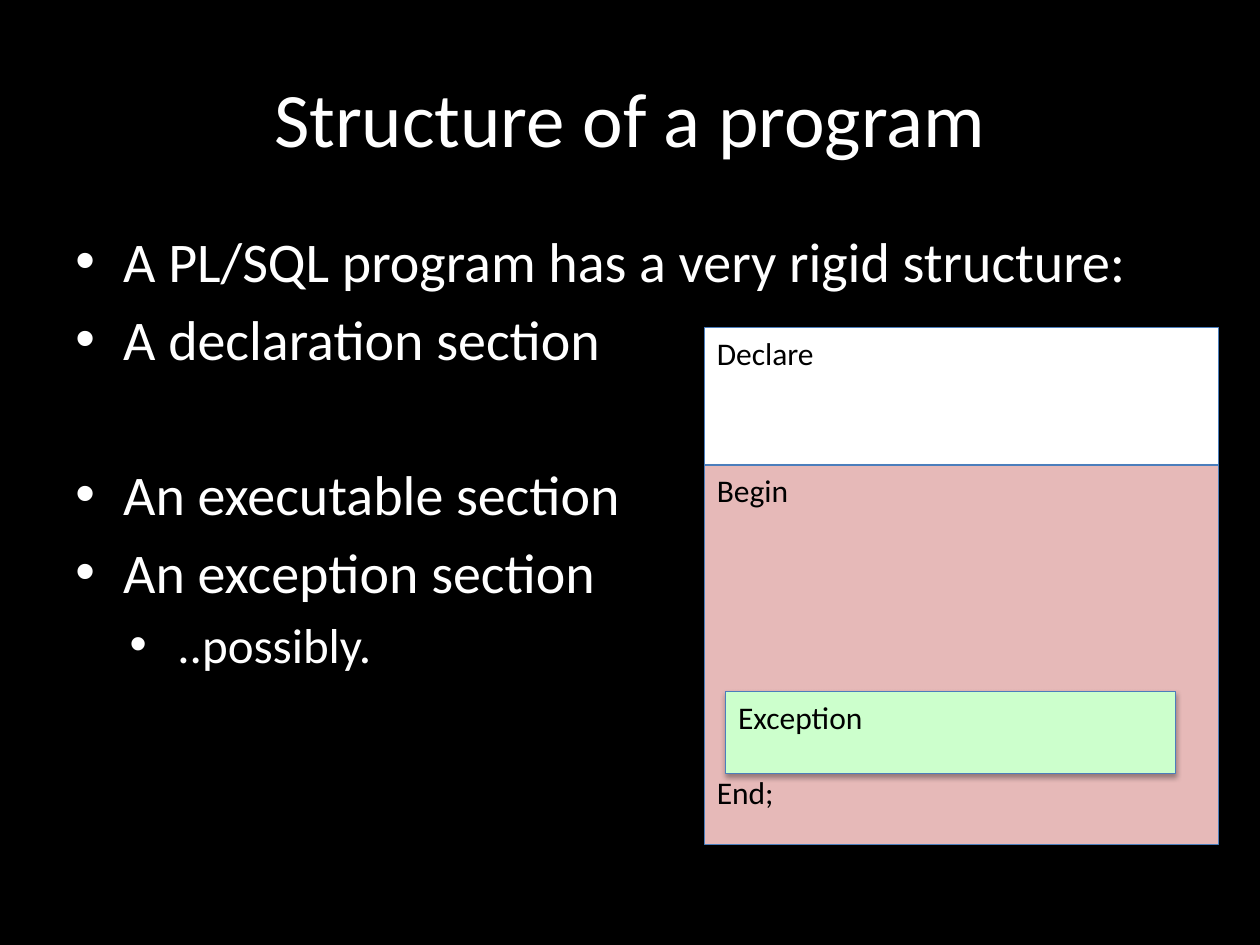
from dataclasses import dataclass
from lxml import etree
from pptx import Presentation
from pptx import util as u
from pptx.dml.color import RGBColor
from pptx.enum import shapes, text
from pptx.oxml.ns import qn

HUES = {"back": "000000", "light": "FFFFFF", "dark": "000000", "edge": "4B7EBC",
        "declare": "FFFFFF", "begin": "E6B9B8", "except": "CCFFCC"}


@dataclass
class Line:
    words: str
    size: float
    gap: float = 0
    level: int = 0


@dataclass
class Block:
    left: float
    top: float
    wide: float
    high: float
    fill: str
    lines: list[Line]


def hue(name: str) -> RGBColor:
    return RGBColor.from_string(HUES[name])


def add_sub(root, tag: str, **attrs):
    return etree.SubElement(root, qn(tag), attrs)


def write(frame, lines: list[Line], tone: str, align=text.PP_ALIGN.LEFT) -> None:
    frame.word_wrap = True
    for i, line in enumerate(lines):
        para = frame.add_paragraph() if i else frame.paragraphs[0]
        para.text = line.words
        para.alignment = align
        para.level = line.level
        para.space_before = u.Pt(line.gap)
        para.font.name = "Calibri"
        para.font.size = u.Pt(line.size)
        para.font.color.rgb = hue(tone)


def add_dot(para) -> None:
    props = para._p.get_or_add_pPr()
    props.set("marL", str(u.Inches(0.38 + 0.43 * para.level)))
    props.set("indent", str(u.Inches(-0.38)))
    font = etree.Element(qn("a:buFont"), typeface="Arial")
    dot = etree.Element(qn("a:buChar"), char="•")
    rest = props.find(qn("a:defRPr"))
    rest.addprevious(font)
    rest.addprevious(dot)


def add_shade(shape) -> None:
    shape.shadow.inherit = False
    glow = add_sub(shape._element.spPr.find(qn("a:effectLst")), "a:outerShdw",
                   blurRad=str(u.Pt(3.1)), dist=str(u.Pt(1.8)),
                   dir="5400000", rotWithShape="0")
    tint = add_sub(glow, "a:srgbClr", val=HUES["dark"])
    add_sub(tint, "a:alpha", val="35000")


def add_block(slide, block: Block) -> None:
    box = slide.shapes.add_shape(
        shapes.MSO_SHAPE.RECTANGLE, u.Inches(block.left), u.Inches(block.top),
        u.Inches(block.wide), u.Inches(block.high))
    box.fill.solid()
    box.fill.fore_color.rgb = hue(block.fill)
    box.line.color.rgb = hue("edge")
    box.line.width = u.Pt(0.75)
    add_shade(box)
    box.text_frame.vertical_anchor = text.MSO_ANCHOR.TOP
    write(box.text_frame, block.lines, "dark")


def add_text(slide, top: float, high: float, lines: list[Line], align):
    box = slide.shapes.add_textbox(u.Inches(0.5), u.Inches(top),
                                   u.Inches(9), u.Inches(high))
    write(box.text_frame, lines, "light", align)
    return box.text_frame


def main() -> None:
    deck = Presentation()
    deck.slide_width, deck.slide_height = u.Inches(10), u.Inches(7.5)
    slide = deck.slides.add_slide(deck.slide_layouts[6])
    slide.background.fill.solid()
    slide.background.fill.fore_color.rgb = hue("back")

    # Title
    title = add_text(slide, 0.3, 1.25, [Line("Structure of a program", 44)],
                     text.PP_ALIGN.CENTER)
    title.vertical_anchor = text.MSO_ANCHOR.MIDDLE

    # Bullets, with a wide gap beside the Declare block
    points = [Line("A PL/SQL program has a very rigid structure:", 32),
              Line("A declaration section", 32, 5.8),
              Line("An executable section", 32, 50.6),
              Line("An exception section", 32, 5.8),
              Line("..possibly.", 28, 5.6, 1)]
    body = add_text(slide, 1.75, 4.95, points, text.PP_ALIGN.LEFT)
    for para in body.paragraphs:
        add_dot(para)

    # Program blocks
    for block in (
        Block(5.59, 2.6, 4.08, 1.09, "declare", [Line("Declare", 18)]),
        Block(5.59, 3.69, 4.08, 3.01, "begin",
              [Line("Begin", 18), Line("End;", 18, 151)]),
        Block(5.76, 5.49, 3.57, 0.65, "except", [Line("Exception", 18)]),
    ):
        add_block(slide, block)

    deck.save("out.pptx")


if __name__ == "__main__":
    main()
